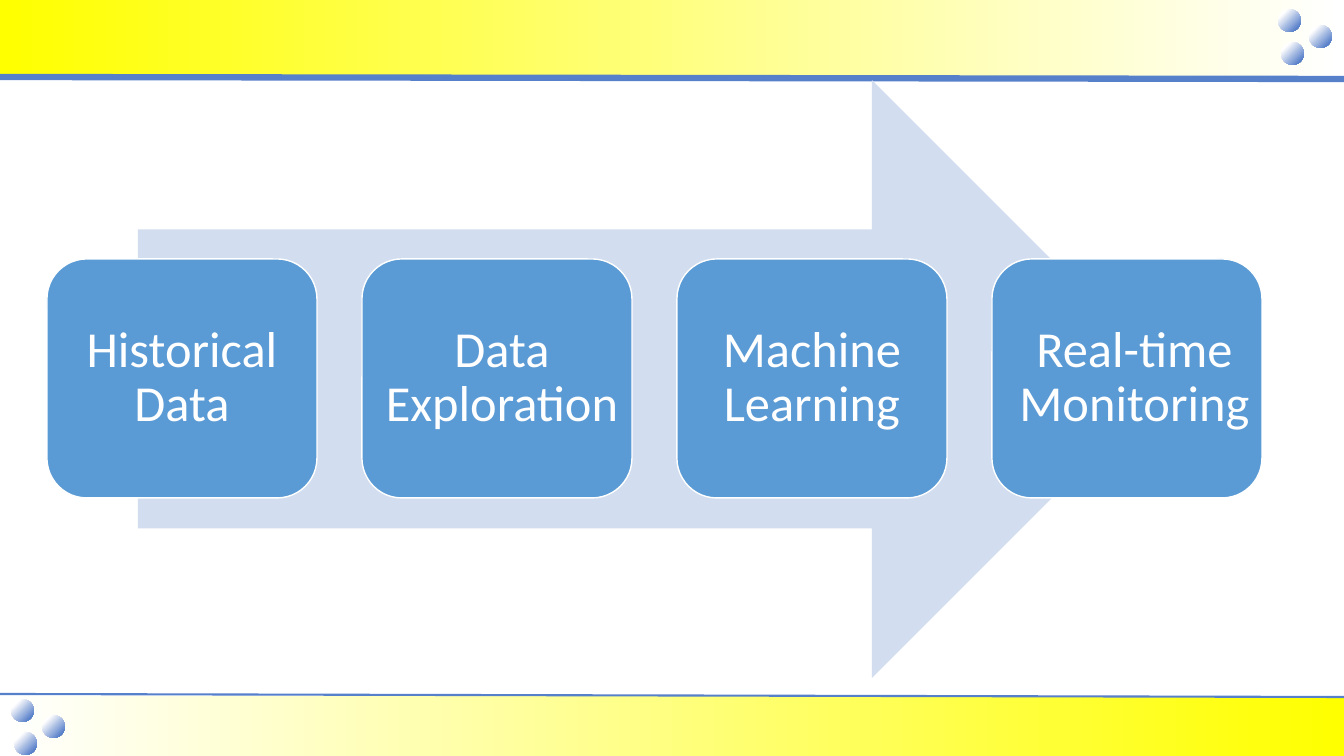
"""Build the slide showing the four-step path from historical data to monitoring."""
from dataclasses import dataclass

import lxml.etree
import pptx
import pptx.dml.color
import pptx.enum.shapes
import pptx.enum.text
import pptx.oxml
import pptx.oxml.ns
import pptx.shapes.autoshape
import pptx.slide
import pptx.util

RGBColor = pptx.dml.color.RGBColor
Kind = pptx.enum.shapes.MSO_SHAPE

WHITE = RGBColor(0xFF, 0xFF, 0xFF)
YELLOW = RGBColor(0xFF, 0xFF, 0x00)
RULE_BLUE = RGBColor(0x57, 0x80, 0xCA)
STEP_BLUE = RGBColor(0x5B, 0x9B, 0xD5)
ARROW_BLUE = RGBColor(0xD2, 0xDE, 0xEF)

SLIDE_W, SLIDE_H = 1344, 756
EMU_PER_PX = 12192000 / SLIDE_W
STEP_X, STEP_Y, STEP_W, STEP_H, STEP_PITCH = 47, 259, 270, 239, 315
BALL_SIZE = 23
BALL_OFFSETS = [(0, 0), (31, 16), (3, 33)]
CLUSTER_CORNERS = [(11, 699), (1278, 9)]


@dataclass(frozen=True)
class Band:
    """A yellow strip fading to white."""
    top: int
    height: int
    angle: int


@dataclass(frozen=True)
class Rule:
    """A slightly sloping line along a band."""
    left_y: int
    right_y: int
    weight: float


@dataclass(frozen=True)
class Step:
    """A stage of the process with its side insets."""
    label: str
    inset_left: int = 15
    inset_right: int = 15


BANDS = [Band(0, 77, 180), Band(696, 60, 0)]
RULES = [Rule(77, 79, 4.5), Rule(694, 697, 1.5)]
STEPS = [
    Step("Historical Data"),
    Step("Data Exploration", 10, 0),
    Step("Machine Learning"),
    Step("Real-time Monitoring", 15, 0),
]


def px(length: int) -> pptx.util.Emu:
    """Turn pixels into EMU."""
    return pptx.util.Emu(round(length * EMU_PER_PX))


def add_plain(slide: pptx.slide.Slide, kind: Kind, x: int, y: int,
              w: int, h: int) -> pptx.shapes.autoshape.Shape:
    """Add a preset shape without shadow or outline."""
    shape = slide.shapes.add_shape(kind, px(x), px(y), px(w), px(h))
    shape.shadow.inherit = False
    shape.line.fill.background()
    return shape


def fill_gradient(shape: pptx.shapes.autoshape.Shape, angle: int,
                  stops: list[tuple[float, RGBColor]]) -> None:
    """Fill a shape with a linear two-colour gradient."""
    shape.fill.gradient()
    shape.fill.gradient_angle = angle
    for stop, (position, color) in zip(shape.fill.gradient_stops, stops):
        stop.position = position
        stop.color.rgb = color


def add_band(slide: pptx.slide.Slide, band: Band) -> None:
    """Draw a full-width band."""
    strip = add_plain(slide, Kind.RECTANGLE, 0, band.top, SLIDE_W, band.height)
    fill_gradient(strip, band.angle, [(0, WHITE), (1, YELLOW)])


def add_rule(slide: pptx.slide.Slide, rule: Rule) -> None:
    """Draw a full-width rule."""
    line = slide.shapes.add_connector(
        pptx.enum.shapes.MSO_CONNECTOR.STRAIGHT,
        px(0), px(rule.left_y), px(SLIDE_W), px(rule.right_y))
    line.line.color.rgb = RULE_BLUE
    line.line.width = pptx.util.Pt(rule.weight)
    lxml.etree.SubElement(line._element.spPr, pptx.oxml.ns.qn("a:effectLst"))


def add_ball(slide: pptx.slide.Slide, x: int, y: int) -> None:
    """Draw a ball shaded towards its lower right."""
    ball = add_plain(slide, Kind.OVAL, x, y, BALL_SIZE, BALL_SIZE)
    fill_gradient(ball, 0, [(0.15, RULE_BLUE), (0.78, WHITE)])
    linear = ball._element.spPr.find(".//" + pptx.oxml.ns.qn("a:lin"))
    radial = pptx.oxml.parse_xml(
        f'<a:path {pptx.oxml.ns.nsdecls("a")} path="circle">'
        '<a:fillToRect l="100000" t="100000"/></a:path>')
    linear.getparent().replace(linear, radial)


def add_step(slide: pptx.slide.Slide, step: Step, x: int) -> None:
    """Draw a rounded box with its label."""
    box = add_plain(slide, Kind.ROUNDED_RECTANGLE, x, STEP_Y, STEP_W, STEP_H)
    box.fill.solid()
    box.fill.fore_color.rgb = STEP_BLUE
    box.line.color.rgb = WHITE
    box.line.width = pptx.util.Pt(1)
    frame = box.text_frame
    frame.word_wrap = True
    frame.vertical_anchor = pptx.enum.text.MSO_ANCHOR.MIDDLE
    frame.margin_left, frame.margin_right = px(step.inset_left), px(step.inset_right)
    frame.margin_top = frame.margin_bottom = px(15)
    paragraph = frame.paragraphs[0]
    paragraph.alignment = pptx.enum.text.PP_ALIGN.CENTER
    paragraph.line_spacing = 0.9
    run = paragraph.add_run()
    run.text = step.label
    run.font.name = "Calibri"
    run.font.size = pptx.util.Pt(36)
    run.font.color.rgb = WHITE


def main() -> None:
    """Build and save the slide."""
    deck = pptx.Presentation()
    deck.slide_width, deck.slide_height = px(SLIDE_W), px(SLIDE_H)
    slide = deck.slides.add_slide(deck.slide_layouts.get_by_name("Blank"))
    for band in BANDS:
        add_band(slide, band)
    for rule in RULES:
        add_rule(slide, rule)
    for left, top in CLUSTER_CORNERS:
        for dx, dy in BALL_OFFSETS:
            add_ball(slide, left + dx, top + dy)
    arrow = add_plain(slide, Kind.RIGHT_ARROW, 138, 80, 1033, 598)
    arrow.fill.solid()
    arrow.fill.fore_color.rgb = ARROW_BLUE
    for index, step in enumerate(STEPS):
        add_step(slide, step, STEP_X + index * STEP_PITCH)
    deck.save("out.pptx")


if __name__ == "__main__":
    main()
